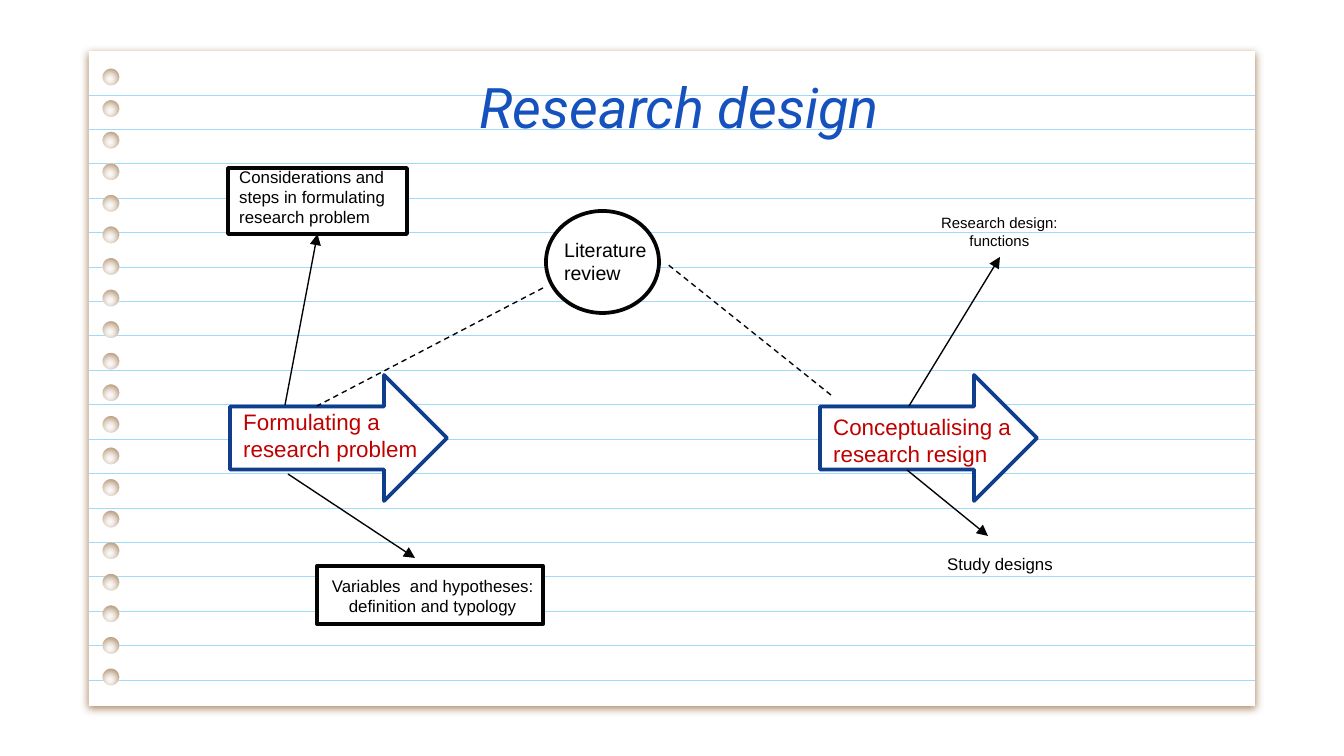
import math

import pptx
import pptx.dml.color
import pptx.enum.dml
import pptx.enum.shapes
import pptx.enum.text
import pptx.oxml
import pptx.oxml.ns
import pptx.util
from lxml import etree

SCALE = 9144000 / 1344  # EMU in one px


class Theme:
    paper = "FFFFFF"
    paper_shadow = "783F04"
    rule = "A1DAF8"
    title = "1552BD"
    arrow = "103D8C"
    stage = "C00000"
    ink = "040404"
    text = "000000"
    title_font = "Roboto"
    body_font = "Arial"
    title_size = 30
    stage_size = 12
    review_size = 10.5
    note_size = 9
    small_size = 8
    outline = 2
    link = 0.75
    rule_width = 0.4


rgb = pptx.dml.color.RGBColor.from_string
shape_type = pptx.enum.shapes.MSO_SHAPE
align = pptx.enum.text.PP_ALIGN

deck = pptx.Presentation()
deck.slide_width = round(1344 * SCALE)
deck.slide_height = round(756 * SCALE)
page = deck.slides.add_slide(deck.slide_layouts[6])


def add_line(start, end, color, width):
    ends = [round(value * SCALE) for value in (*start, *end)]
    line = page.shapes.add_connector(pptx.enum.shapes.MSO_CONNECTOR.STRAIGHT, *ends)
    line.line.color.rgb = rgb(color)
    line.line.width = pptx.util.Pt(width)
    etree.SubElement(line._element.spPr, pptx.oxml.ns.qn("a:effectLst"))
    return line


def add_text(place, lines, size, color, font=Theme.body_font, alignment=align.LEFT, italic=None):
    box = page.shapes.add_textbox(*[round(value * SCALE) for value in place])
    frame = box.text_frame
    frame.word_wrap = True
    for index, words in enumerate(lines):
        para = frame.paragraphs[0] if index == 0 else frame.add_paragraph()
        para.alignment = alignment
        span = para.add_run()
        span.text = words
        span.font.name = font
        span.font.size = pptx.util.Pt(size)
        span.font.color.rgb = rgb(color)
        span.font.italic = italic
    return box


# Notebook sheet with a column of punched holes
left, top, right, bottom = 89, 51, 1255, 706
hole_x, hole_count, hole_radius = 111, 20, 17 / 2
first_hole, last_hole = 77, 677
hole_pitch = (last_hole - first_hole) / (hole_count - 1)
hole_centres = [first_hole + index * hole_pitch for index in range(hole_count)]
turns = [math.tau * step / 24 for step in range(24)]

outline = page.shapes.build_freeform(left * SCALE, top * SCALE)
outline.add_line_segments(
    [(x * SCALE, y * SCALE) for x, y in ((left, bottom), (right, bottom), (right, top))]
)
for hole_y in hole_centres:
    rim = [
        ((hole_x + hole_radius * math.cos(turn)) * SCALE, (hole_y + hole_radius * math.sin(turn)) * SCALE)
        for turn in turns
    ]
    outline.move_to(*rim[0])
    outline.add_line_segments(rim[1:])
sheet = outline.convert_to_shape()
sheet.fill.solid()
sheet.fill.fore_color.rgb = rgb(Theme.paper)
sheet.line.fill.background()
sheet.shadow.inherit = False
sheet._element.spPr.find(pptx.oxml.ns.qn("a:effectLst")).append(pptx.oxml.parse_xml(
    f'<a:outerShdw {pptx.oxml.ns.nsdecls("a")} blurRad="57150" dist="19050" dir="5400000" '
    f'algn="bl" rotWithShape="0"><a:srgbClr val="{Theme.paper_shadow}">'
    '<a:alpha val="61000"/></a:srgbClr></a:outerShdw>'
))

# Ruled lines, interrupted where they meet a hole
rule_count, first_rule, last_rule = 18, 95, 680
for index in range(rule_count):
    rule_y = first_rule + index * (last_rule - first_rule) / (rule_count - 1)
    offset = min(abs(rule_y - hole_y) for hole_y in hole_centres)
    if offset < hole_radius:
        gap = math.sqrt(hole_radius**2 - offset**2)
        parts = [(left, hole_x - gap), (hole_x + gap, right)]
    else:
        parts = [(left, right)]
    for start_x, end_x in parts:
        add_line((start_x, rule_y), (end_x, rule_y), Theme.rule, Theme.rule_width)

# Title
add_text((139, 60, 1081, 93), ["Research design"], Theme.title_size, Theme.title,
         Theme.title_font, align.CENTER, True).text_frame.margin_top = round(13 * SCALE)

# Outlined shapes
outlined = {}
for name, kind, place, color in (
    ("formulating", shape_type.RIGHT_ARROW, (230, 375, 217, 126), Theme.arrow),
    ("conceptualising", shape_type.RIGHT_ARROW, (820, 375, 217, 126), Theme.arrow),
    ("considerations", shape_type.RECTANGLE, (228, 168, 179, 66), Theme.ink),
    ("literature", shape_type.OVAL, (546, 211, 113, 102), Theme.ink),
    ("variables", shape_type.RECTANGLE, (317, 566, 226, 58), Theme.ink),
):
    shape = page.shapes.add_shape(kind, *[round(value * SCALE) for value in place])
    shape.shadow.inherit = False
    shape.fill.solid()
    shape.fill.fore_color.rgb = rgb(Theme.paper)
    shape.line.color.rgb = rgb(color)
    shape.line.width = pptx.util.Pt(Theme.outline)
    outlined[name] = shape

# Stage names
add_text((230, 402, 216, 67), ["Formulating a research problem"], Theme.stage_size, Theme.stage)
add_text((820, 407, 216, 67), ["Conceptualising a research resign"], Theme.stage_size, Theme.stage)

# Notes around the stages
for place, lines, size, alignment in (
    ((226, 160, 190, 74), ["Considerations and steps in formulating", "research problem"],
     Theme.note_size, align.LEFT),
    ((551, 231, 130, 60), ["Literature", "review"], Theme.review_size, align.LEFT),
    ((926, 207, 147, 50), ["Research design:", "functions"], Theme.small_size, align.CENTER),
    ((314, 569, 237, 54), ["Variables  and hypotheses: definition and typology"],
     Theme.note_size, align.CENTER),
    ((934, 547, 141, 34), ["Study designs"], Theme.note_size, align.LEFT),
):
    add_text(place, lines, size, Theme.text, alignment=alignment)

# Dashed links to the literature review
for start, end in (((543, 288), (317, 406)), ((831, 395), (666, 263))):
    link = add_line(start, end, Theme.ink, Theme.link)
    link.line.dash_style = pptx.enum.dml.MSO_LINE.DASH

# Arrows from the stages to their notes
for start, end, target in (
    ((285, 405), (317, 235), "considerations"),
    ((288, 474), (415, 558), None),
    ((909, 406), (1000, 257), None),
    ((907, 470), (988, 536), None),
):
    arrow = add_line(start, end, Theme.ink, Theme.link)
    stroke = arrow._element.spPr.find(pptx.oxml.ns.qn("a:ln"))
    etree.SubElement(stroke, pptx.oxml.ns.qn("a:tailEnd"), type="triangle")
    if target:
        arrow.end_connect(outlined[target], 2)

deck.save("out.pptx")
